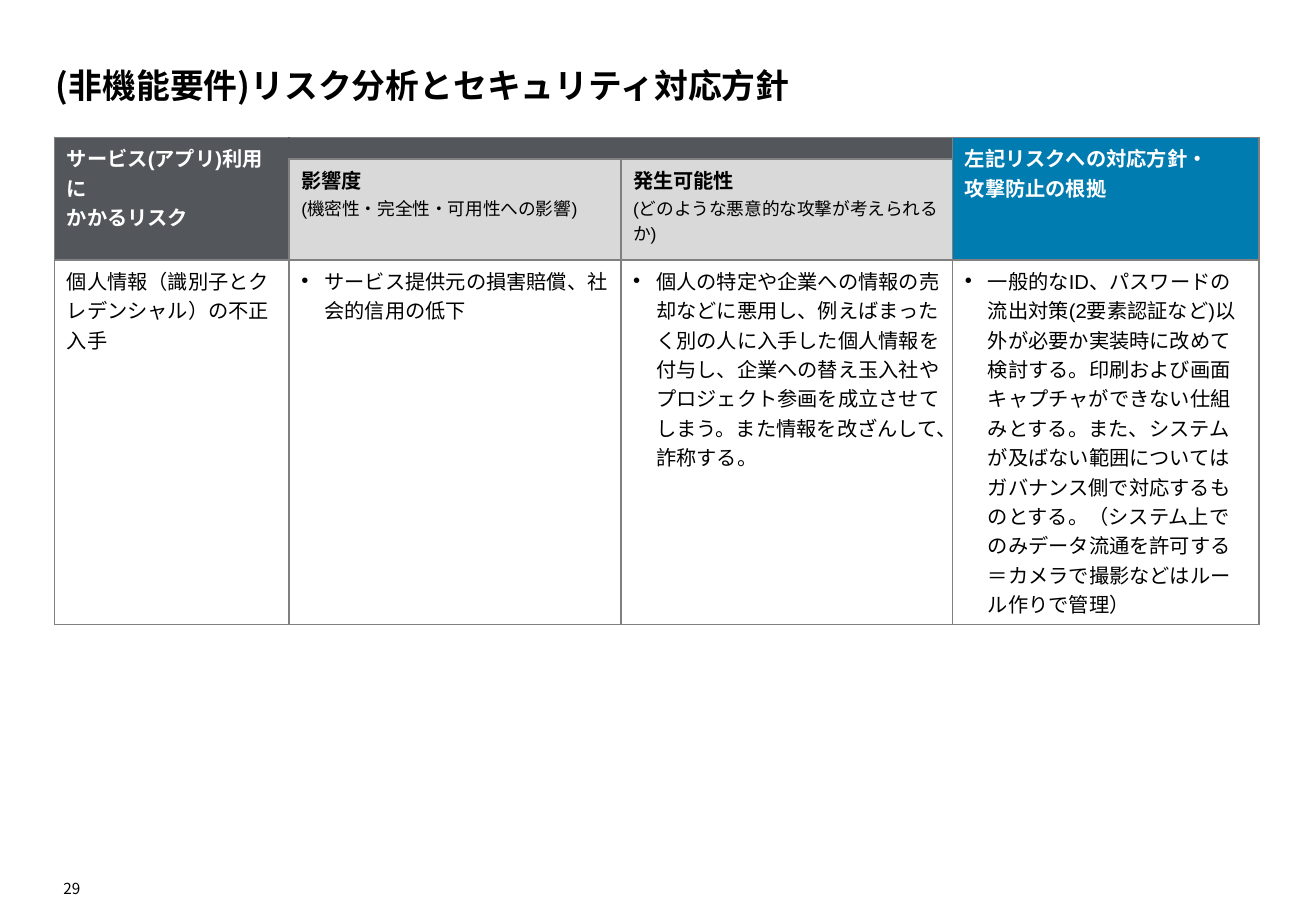
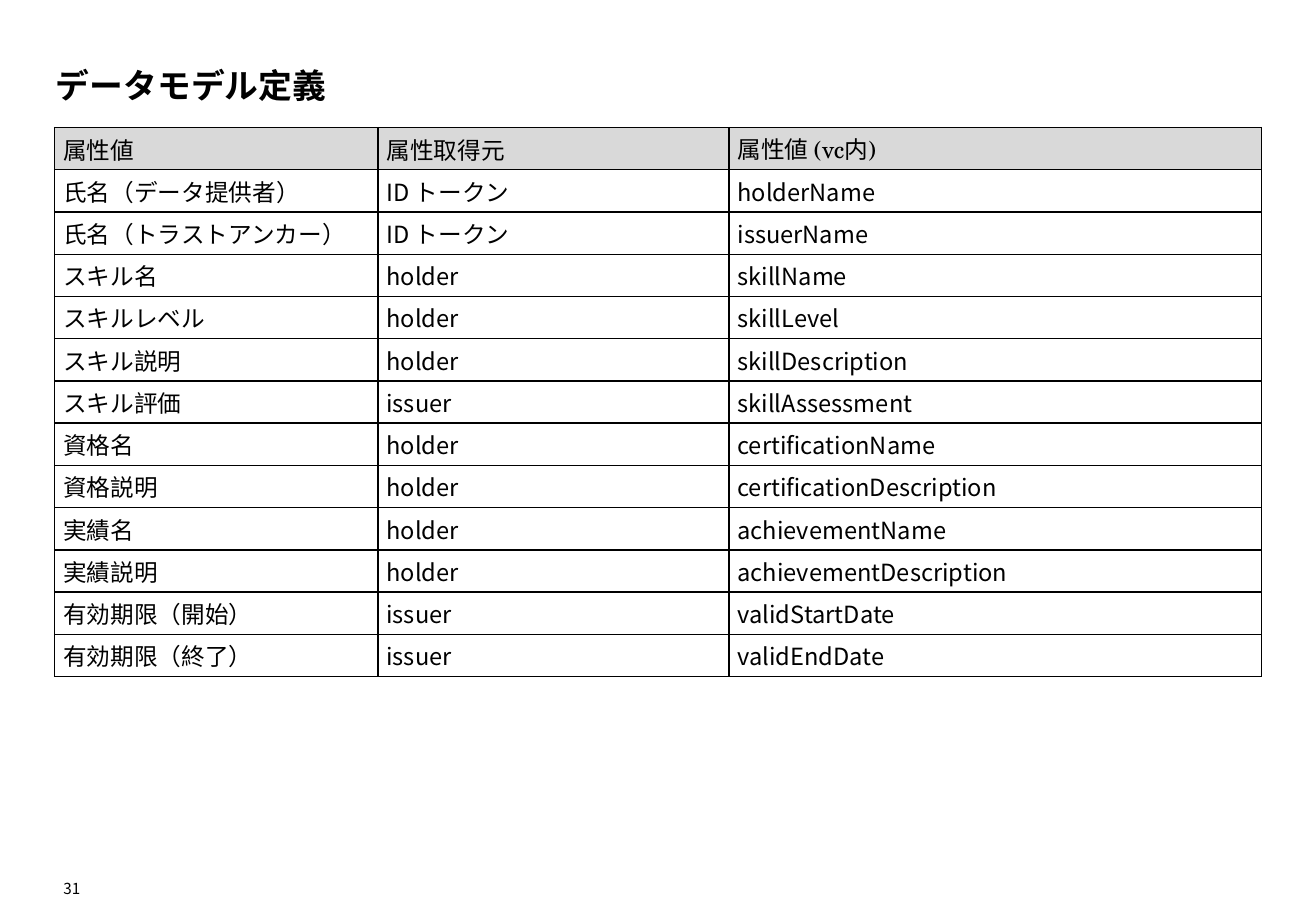
from dataclasses import dataclass

from lxml import etree
from pptx import Presentation
from pptx.dml.color import RGBColor
from pptx.enum.text import MSO_ANCHOR, PP_ALIGN
from pptx.oxml.ns import qn
from pptx.util import Inches, Pt

TOP, MIDDLE, BOTTOM = MSO_ANCHOR.TOP, MSO_ANCHOR.MIDDLE, MSO_ANCHOR.BOTTOM
LEFT, RIGHT = PP_ALIGN.LEFT, PP_ALIGN.RIGHT


@dataclass(frozen=True)
class Theme:
    black: str = "000000"
    white: str = "FFFFFF"
    dark: str = "53565A"
    blue: str = "007CB0"
    pale: str = "D9D9D9"
    rule: str = "808080"
    sans: str = "Noto Sans CJK JP"
    latin: str = "Arial"
    serif: str = "TeX Gyre Schola"
    title: float = 20
    model: float = 14
    risk: float = 12
    note: float = 10.5
    page: float = 9


THEME = Theme()
SLIDE_SIZE = (10.83, 7.5)
TITLE_AREA = (0.46, 0.2, 9.92, 0.67)
PAGE_AREA = (0.46, 7.2, 0.2, 0.19)
TABLE_LEFT = 0.45

RISK_TITLE = "(非機能要件)リスク分析とセキュリティ対応方針"
RISK_TOP = 1.13
RISK_COLUMNS = [1.93, 2.73, 2.73, 2.52]
RISK_ROWS = [0.18, 0.83, 3]
RISK_MERGES = [((0, 0), (1, 0)), ((0, 1), (0, 2)), ((0, 3), (1, 3))]
RISK_HEADERS = [
    (0, 0, ["サービス(アプリ)利用に", "かかるリスク"], THEME.dark),
    (0, 3, ["左記リスクへの対応方針・", "攻撃防止の根拠"], THEME.blue),
]
RISK_SUBHEADERS = [
    (1, "影響度", "(機密性・完全性・可用性への影響)"),
    (2, "発生可能性", "(どのような悪意的な攻撃が考えられるか)"),
]
RISK_BODY = [
    "個人情報（識別子とクレデンシャル）の不正入手",
    "サービス提供元の損害賠償、社会的信用の低下",
    "個人の特定や企業への情報の売却などに悪用し、例えばまったく別の人に入手した個人情報を"
    "付与し、企業への替え玉入社やプロジェクト参画を成立させてしまう。"
    "また情報を改ざんして、詐称する。",
    "一般的なID、パスワードの流出対策(2要素認証など)以外が必要か実装時に改めて検討する。"
    "印刷および画面キャプチャができない仕組みとする。また、システムが及ばない範囲については"
    "ガバナンス側で対応するものとする。（システム上でのみデータ流通を許可する＝カメラで"
    "撮影などはルール作りで管理）",
]

MODEL_TITLE = "データモデル定義"
MODEL_TOP = 1.05
MODEL_HEIGHT = 4.52
MODEL_COLUMNS = [2.66, 2.89, 4.38]
MODEL_ROWS = [
    ("属性値", "属性取得元", "属性値 (vc内)"),
    ("氏名（データ提供者）", "ID トークン", "holderName"),
    ("氏名（トラストアンカー）", "ID トークン", "issuerName"),
    ("スキル名", "holder", "skillName"),
    ("スキルレベル", "holder", "skillLevel"),
    ("スキル説明", "holder", "skillDescription"),
    ("スキル評価", "issuer", "skillAssessment"),
    ("資格名", "holder", "certificationName"),
    ("資格説明", "holder", "certificationDescription"),
    ("実績名", "holder", "achievementName"),
    ("実績説明", "holder", "achievementDescription"),
    ("有効期限（開始）", "issuer", "validStartDate"),
    ("有効期限（終了）", "issuer", "validEndDate"),
]


def style(paragraph, size, font=THEME.sans, color=THEME.black, bold=False):
    for span in paragraph.runs:
        span.font.size = Pt(size)
        span.font.bold = bold
        span.font.color.rgb = RGBColor.from_string(color)
        span.font.name = font
        east_asian = etree.Element(qn("a:ea"), typeface=THEME.sans)
        span.font._element.find(qn("a:latin")).addnext(east_asian)


def write(frame, lines, **look):
    frame.text = "\n".join(lines)
    for paragraph in frame.paragraphs:
        style(paragraph, **look)


def add_bullet(paragraph):
    properties = paragraph._p.get_or_add_pPr()
    properties.set("marL", str(Inches(0.19)))
    properties.set("indent", str(-Inches(0.19)))
    etree.SubElement(properties, qn("a:buFont"), typeface=THEME.latin)
    etree.SubElement(properties, qn("a:buChar"), char="•")


def add_label(slide, area, text, align, **look):
    box = slide.shapes.add_textbox(*map(Inches, area))
    frame = box.text_frame
    frame.margin_left = frame.margin_right = frame.margin_top = frame.margin_bottom = 0
    frame.word_wrap = True
    frame.vertical_anchor = BOTTOM
    write(frame, [text], **look)
    frame.paragraphs[0].alignment = align


def add_page(deck, title, number):
    slide = deck.slides.add_slide(deck.slide_layouts[6])
    add_label(slide, TITLE_AREA, title, LEFT, size=THEME.title, bold=True)
    add_label(slide, PAGE_AREA, str(number), RIGHT, size=THEME.page)
    return slide


def set_fill(cell, color):
    cell.fill.solid()
    cell.fill.fore_color.rgb = RGBColor.from_string(color)


def set_borders(cell, color, **sides):
    properties = cell._tc.get_or_add_tcPr()
    for index, side in enumerate("LRTB"):
        line = etree.Element(qn("a:ln" + side), w=str(Pt(1)))
        fill = etree.SubElement(line, qn("a:solidFill"))
        etree.SubElement(fill, qn("a:srgbClr"), val=sides.get(side, color))
        properties.insert(index, line)


def shrink_empty(cell):
    cell.margin_top = cell.margin_bottom = 0
    for paragraph in cell.text_frame.paragraphs:
        etree.SubElement(paragraph._p, qn("a:endParaRPr"), sz="100")


def add_grid(slide, top, columns, rows):
    area = (TABLE_LEFT, top, sum(columns), sum(rows))
    table = slide.shapes.add_table(len(rows), len(columns), *map(Inches, area)).table
    table.first_row = table.horz_banding = False
    for column, width in zip(table.columns, columns):
        column.width = Inches(width)
    for row, height in zip(table.rows, rows):
        row.height = Inches(height)
    return table


def build_risks(deck):
    slide = add_page(deck, RISK_TITLE, 29)
    table = add_grid(slide, RISK_TOP, RISK_COLUMNS, RISK_ROWS)
    for start, end in RISK_MERGES:
        table.cell(*start).merge(table.cell(*end))
    look = {"size": THEME.risk, "font": THEME.latin}
    for row, column, lines, color in RISK_HEADERS:
        cell = table.cell(row, column)
        write(cell.text_frame, lines, color=THEME.white, bold=True, **look)
        set_fill(cell, color)
    set_fill(table.cell(0, 1), THEME.dark)
    for column, heading, note in RISK_SUBHEADERS:
        cell = table.cell(1, column)
        frame = cell.text_frame
        frame.text = f"{heading}\n{note}"
        style(frame.paragraphs[0], bold=True, **look)
        style(frame.paragraphs[1], THEME.note, THEME.latin)
        set_fill(cell, THEME.pale)
    for column, text in enumerate(RISK_BODY):
        cell = table.cell(2, column)
        write(cell.text_frame, [text], **look)
        set_fill(cell, THEME.white)
        if column:
            add_bullet(cell.text_frame.paragraphs[0])
    open_sides = {(0, 0): {"R": THEME.dark}, (0, 1): {"L": THEME.dark}}
    for row in range(len(RISK_ROWS)):
        for column in range(len(RISK_COLUMNS)):
            cell = table.cell(row, column)
            cell.vertical_anchor = TOP
            set_borders(cell, THEME.rule, **open_sides.get((row, column), {}))
            if not cell.text_frame.text:
                shrink_empty(cell)


def build_model(deck):
    slide = add_page(deck, MODEL_TITLE, 31)
    heights = [MODEL_HEIGHT / len(MODEL_ROWS)] * len(MODEL_ROWS)
    table = add_grid(slide, MODEL_TOP, MODEL_COLUMNS, heights)
    for row, texts in enumerate(MODEL_ROWS):
        font, color = (THEME.sans, THEME.white) if row else (THEME.serif, THEME.pale)
        for column, text in enumerate(texts):
            cell = table.cell(row, column)
            cell.margin_left = cell.margin_right = Inches(0.07)
            cell.margin_top = cell.margin_bottom = 0
            cell.vertical_anchor = MIDDLE
            write(cell.text_frame, [text], size=THEME.model, font=font)
            set_fill(cell, color)
            set_borders(cell, THEME.black)


def main():
    deck = Presentation()
    deck.slide_width, deck.slide_height = map(Inches, SLIDE_SIZE)
    build_risks(deck)
    build_model(deck)
    deck.save("out.pptx")


if __name__ == "__main__":
    main()
